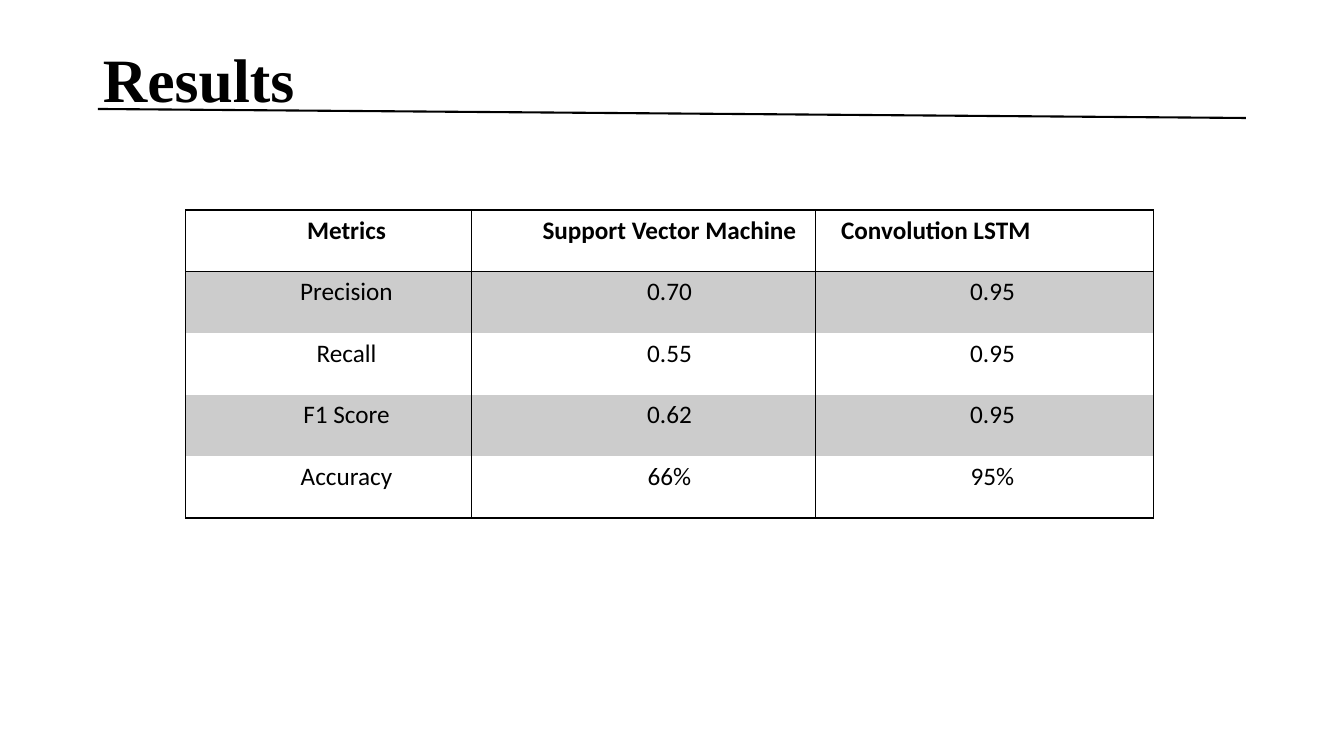
from lxml import etree
from pptx import Presentation
from pptx.dml.color import RGBColor
from pptx.enum.shapes import MSO_CONNECTOR as Link
from pptx.enum.text import MSO_ANCHOR as Anchor, PP_ALIGN as Align
from pptx.oxml import parse_xml
from pptx.oxml.ns import qn
from pptx.util import Pt

SCALE = 914400 / 100.8
COLOURS = {"ink": "000000", "band": "CCCCCC"}
NO_GRID = "{2D5ABB26-0587-4C30-8999-92F81FD0307C}"
NS = "http://schemas.openxmlformats.org/drawingml/2006/main"


def px(n):
    return round(n * SCALE)


def rgb(name):
    return RGBColor.from_string(COLOURS[name])


class Deck:
    def __init__(self, width, height):
        self.prs = Presentation()
        self.prs.slide_width, self.prs.slide_height = px(width), px(height)
        self.slide = self.prs.slides.add_slide(self.prs.slide_layouts[6])

    def run(self, para, text, size, font, bold=False):
        run = para.add_run()
        run.text = text
        run.font.size, run.font.name, run.font.bold = Pt(size), font, bold
        run.font.color.rgb = rgb("ink")

    def title(self, text, x, y, w, h):
        box = self.slide.shapes.add_textbox(px(x), px(y), px(w), px(h))
        frame = box.text_frame
        frame.word_wrap = True
        frame.vertical_anchor = Anchor.TOP
        frame.margin_top = px(9)
        para = frame.paragraphs[0]
        para.line_spacing = 0.9
        self.run(para, text, 44, "Times New Roman", True)

    def line(self, x1, y1, x2, y2, width):
        line = self.slide.shapes.add_connector(
            Link.STRAIGHT, px(x1), px(y1), px(x2), px(y2))
        line.line.color.rgb = rgb("ink")
        line.line.width = Pt(width)
        etree.SubElement(line._element.spPr, qn("a:effectLst"))

    def edge(self, cell, side):
        cell._tc.get_or_add_tcPr().insert(0, parse_xml(
            f'<a:{side} xmlns:a="{NS}" w="{Pt(1)}"><a:solidFill>'
            f'<a:srgbClr val="{COLOURS["ink"]}"/></a:solidFill></a:{side}>'))

    def table(self, data, x, y, w, h):
        last = len(data) - 1
        grid = self.slide.shapes.add_table(
            len(data), len(data[0]), px(x), px(y), px(w), px(h)).table
        grid.horz_banding = False
        grid._tbl.tblPr.find(qn("a:tableStyleId")).text = NO_GRID
        for r, row in enumerate(data):
            for c, text in enumerate(row):
                cell = grid.cell(r, c)
                # Shaded bands on odd rows
                if r % 2:
                    cell.fill.solid()
                    cell.fill.fore_color.rgb = rgb("band")
                else:
                    cell.fill.background()
                # Rules round the header and below the last row
                if r in (0, last):
                    self.edge(cell, "lnB")
                if r == 0:
                    self.edge(cell, "lnT")
                para = cell.text_frame.paragraphs[0]
                left = (r, c) == (0, 2)
                para.alignment = Align.LEFT if left else Align.CENTER
                self.run(para, text, 18, "Calibri", r == 0)


def main():
    deck = Deck(1344, 756)

    # Heading and its rule
    deck.title("Results", 93, 40, 1159, 146)
    deck.line(98, 109, 1246, 118, 1.5)

    # Scores
    deck.table([
        ("Metrics", "Support Vector Machine", "Convolution LSTM"),
        ("Precision", "0.70", "0.95"),
        ("Recall", "0.55", "0.95"),
        ("F1 Score", "0.62", "0.95"),
        ("Accuracy", "66%", "95%"),
    ], 185, 210, 969, 308)

    # Upright dividers
    for x in (185, 1153, 815, 471):
        deck.line(x, 210, x, 517, 0.5)

    deck.prs.save("out.pptx")


if __name__ == "__main__":
    main()
